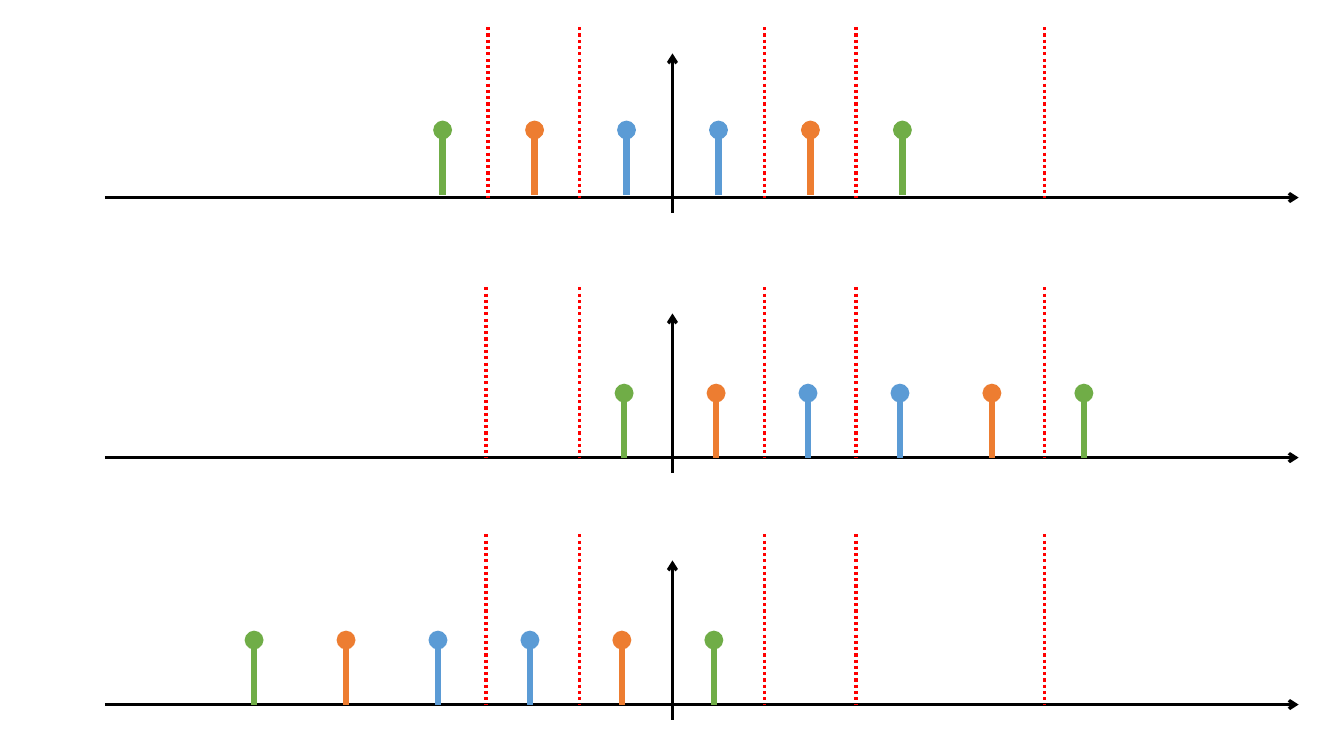
"""Build a slide of three spectra whose mirrored lines shift along the frequency axis."""
from pptx import Presentation
from pptx.dml.color import RGBColor
from pptx.enum.dml import MSO_LINE
from pptx.enum.shapes import MSO_CONNECTOR
from pptx.oxml.ns import qn
from pptx.util import Emu, Pt
from lxml.etree import SubElement

BLACK = RGBColor(0x00, 0x00, 0x00)
RED = RGBColor(0xFF, 0x00, 0x00)
GREEN = RGBColor(0x70, 0xAD, 0x47)
ORANGE = RGBColor(0xED, 0x7D, 0x31)
BLUE = RGBColor(0x5B, 0x9B, 0xD5)

SPECTRA = [
    {"axis": 196, "stem_base": 193, "first_stem": 439, "first_divider": 484},
    {"axis": 454, "stem_base": 454, "first_stem": 619, "first_divider": 482},
    {"axis": 699, "stem_base": 699, "first_stem": 252, "first_divider": 482},
]
STEM_COLORS = [GREEN, ORANGE, BLUE, BLUE, ORANGE, GREEN]
SHARED_DIVIDERS = [575, 758, 849, 1036]

EMU_PER_PX = 9144
SLIDE_WIDTH, SLIDE_HEIGHT = 1333, 750
AXIS_LEFT, AXIS_RIGHT, ORIGIN = 104, 1288, 667
AXIS_BELOW, AXIS_ABOVE = 15, 143
DIVIDER_HEIGHT = 169
STEM_HEIGHT, STEM_STEP = 64, 91.2


def px(length):
    """Turn px into EMU."""
    return Emu(round(length * EMU_PER_PX))


def add_line(slide, start, end, color, width=2.25, dash=None, tail=None):
    """Draw a straight line with an optional dash and end mark."""
    connector = slide.shapes.add_connector(
        MSO_CONNECTOR.STRAIGHT, *map(px, start + end))
    line = connector.line
    line.color.rgb = color
    line.width = Pt(width)
    if dash is not None:
        line.dash_style = dash
    properties = connector.element.spPr
    if tail:
        SubElement(properties.find(qn("a:ln")), qn("a:tailEnd"), type=tail)
    SubElement(properties, qn("a:effectLst"))


def add_spectrum(slide, axis, stem_base, first_stem, first_divider):
    """Draw the axes, dividers and stems of one spectrum."""
    add_line(slide, (ORIGIN, axis + AXIS_BELOW), (ORIGIN, axis - AXIS_ABOVE),
             BLACK, tail="arrow")
    add_line(slide, (AXIS_LEFT, axis), (AXIS_RIGHT, axis), BLACK, tail="arrow")
    for x in [first_divider] + SHARED_DIVIDERS:
        add_line(slide, (x, axis - DIVIDER_HEIGHT), (x, axis), RED,
                 dash=MSO_LINE.ROUND_DOT)
    for index, color in enumerate(STEM_COLORS):
        x = first_stem + index * STEM_STEP
        add_line(slide, (x, stem_base), (x, stem_base - STEM_HEIGHT), color,
                 width=4.5, tail="oval")


def main():
    """Create and save the presentation."""
    presentation = Presentation()
    presentation.slide_width = px(SLIDE_WIDTH)
    presentation.slide_height = px(SLIDE_HEIGHT)
    slide = presentation.slides.add_slide(presentation.slide_layouts[6])
    for spectrum in SPECTRA:
        add_spectrum(slide, **spectrum)
    presentation.save("out.pptx")


if __name__ == "__main__":
    main()
